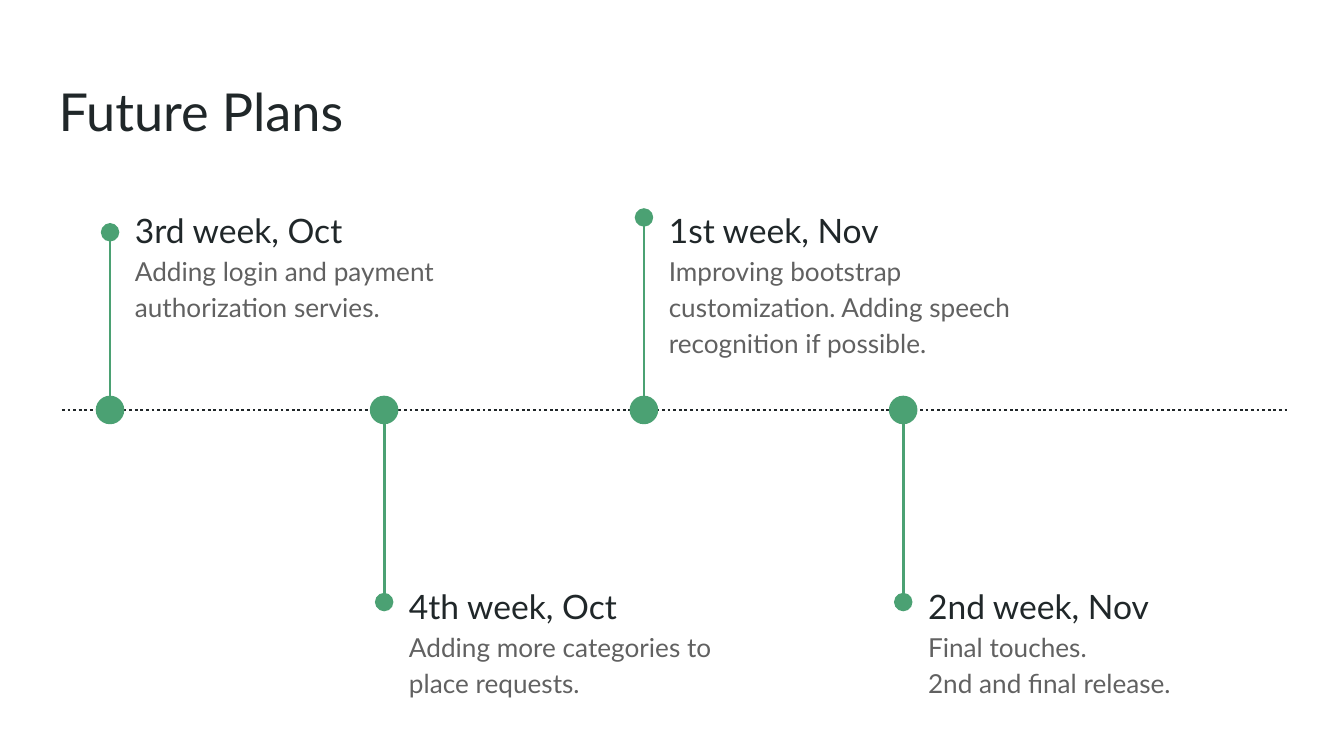
import lxml.etree
import pptx
import pptx.dml.color
import pptx.enum.dml
import pptx.enum.shapes
import pptx.oxml.ns
import pptx.util

Cm = pptx.util.Cm
DARK, GREY, GREEN = "202729", "616161", "4BA173"
DOT_SIZE = 0.54
NOTE_WIDTH, NOTE_HEIGHT = 7.39, 2.69

MILESTONES = [
    (2.08, 4.39, 3.61, "3rd week, Oct", "Adding login and payment authorization servies."),
    (7.26, 11.38, 10.72, "4th week, Oct", "Adding more categories to place requests."),
    (12.17, 4.11, 3.61, "1st week, Nov",
     "Improving bootstrap customization. Adding speech recognition if possible."),
    (17.07, 11.38, 10.72, "2nd week, Nov", "Final touches.\n2nd and final release."),
]


def color(value):
    return pptx.dml.color.RGBColor.from_string(value)


def add_text(frame, text, size, fill, first=False, spacing=1.0, after=0):
    para = frame.paragraphs[0] if first else frame.add_paragraph()
    para.line_spacing = spacing
    para.space_before = pptx.util.Pt(0)
    para.space_after = pptx.util.Pt(after)
    for index, line in enumerate(text.split("\n")):
        if index:
            para.add_line_break()
        span = para.add_run()
        span.text = line
        span.font.name = "Lato"
        span.font.size = pptx.util.Pt(size)
        span.font.color.rgb = color(fill)


def add_frame(page, left, top, width, height):
    box = page.shapes.add_textbox(Cm(left), Cm(top), Cm(width), Cm(height))
    frame = box.text_frame
    frame.word_wrap = True
    frame.margin_left = frame.margin_right = Cm(0.25)
    frame.margin_top = frame.margin_bottom = Cm(0.25)
    return frame


def add_line(shapes, start, end, stroke, dash=None, oval_end=False):
    line = shapes.add_connector(
        pptx.enum.shapes.MSO_CONNECTOR.STRAIGHT, *[Cm(value) for value in start + end])
    line.line.color.rgb = color(stroke)
    line.line.width = pptx.util.Pt(1.5)
    if dash:
        line.line.dash_style = dash
    if oval_end:
        tail = lxml.etree.SubElement(line.line._get_or_add_ln(), pptx.oxml.ns.qn("a:tailEnd"))
        for name, value in (("type", "oval"), ("w", "lg"), ("len", "lg")):
            tail.set(name, value)
    lxml.etree.SubElement(line._element.spPr, pptx.oxml.ns.qn("a:effectLst"))


def add_title(page, left, top, width, height):
    frame = add_frame(page, left, top, width, height)
    add_text(frame, "Future Plans", 28, DARK, first=True)


def add_milestone(page, center, axis, stem_end, note_top, date, plan):
    radius = DOT_SIZE / 2
    marker = page.shapes.add_group_shape()
    edge = axis - radius if stem_end < axis else axis + radius
    add_line(marker.shapes, (center, edge), (center, stem_end), GREEN, oval_end=True)
    dot = marker.shapes.add_shape(
        pptx.enum.shapes.MSO_SHAPE.OVAL,
        Cm(center - radius), Cm(axis - radius), Cm(DOT_SIZE), Cm(DOT_SIZE))
    dot.shadow.inherit = False
    dot.fill.solid()
    dot.fill.fore_color.rgb = color(GREEN)
    dot.line.fill.background()

    frame = add_frame(page, center + 0.22, note_top, NOTE_WIDTH, NOTE_HEIGHT)
    add_text(frame, date, 18, DARK, first=True, spacing=1.15)
    add_text(frame, plan, 14, GREY, spacing=1.15, after=16)


def add_timeline(page, left, axis, width):
    add_line(page.shapes, (left, axis), (left + width, axis), DARK,
             dash=pptx.enum.dml.MSO_LINE.ROUND_DOT)
    for center, stem_end, note_top, date, plan in MILESTONES:
        add_milestone(page, center, axis, stem_end, note_top, date, plan)


def main():
    deck = pptx.Presentation()
    deck.slide_width, deck.slide_height = Cm(25.4), Cm(14.29)
    page = deck.slides.add_slide(deck.slide_layouts[6])
    page.background.fill.solid()
    page.background.fill.fore_color.rgb = color("FFFFFF")
    add_title(page, 0.86, 1.24, 23.67, 1.6)
    add_timeline(page, 1.17, 7.75, 23.16)
    deck.save("out.pptx")


if __name__ == "__main__":
    main()
